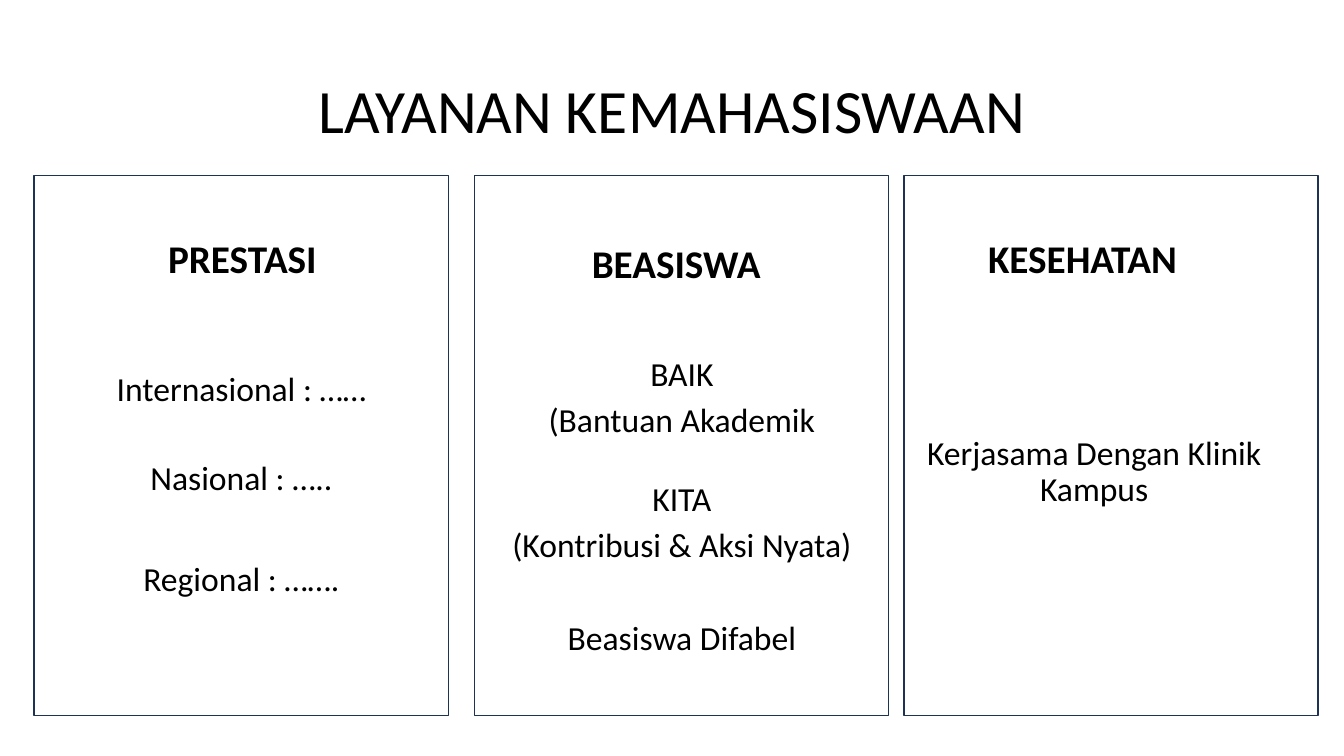
"""Build the student services slide with three framed columns."""
from pptx import Presentation
from pptx.dml.color import RGBColor
from pptx.enum.shapes import MSO_SHAPE
from pptx.enum.text import MSO_ANCHOR, PP_ALIGN
from pptx.util import Cm, Pt

COLORS = {"text": "000000", "frame": "1E3256"}


def add_text(slide, box, lines, size, bold=False, pitch=0.9, anchor=MSO_ANCHOR.TOP):
    frame = slide.shapes.add_textbox(*[Cm(v) for v in box]).text_frame
    frame.word_wrap = True
    frame.vertical_anchor = anchor
    for i, (text, gap) in enumerate(lines):
        para = frame.add_paragraph() if i else frame.paragraphs[0]
        para.text = text
        para.alignment = PP_ALIGN.CENTER
        para.line_spacing = pitch
        para.space_before = Pt(gap)
        para.font.name = "Calibri"
        para.font.size = Pt(size)
        para.font.bold = bold
        para.font.color.rgb = RGBColor.from_string(COLORS["text"])


deck = Presentation()
deck.slide_width = Cm(33.87)
deck.slide_height = Cm(19.05)
slide = deck.slides.add_slide(deck.slide_layouts[6])

add_text(slide, (2.34, 1.02, 29.21, 3.68), [("LAYANAN KEMAHASISWAAN", 0)], 44,
         anchor=MSO_ANCHOR.MIDDLE)

columns = [
    (0.86, "PRESTASI", (0.89, 5.92, 10.44), (1.5, 9.25), 0.9,
     [("Internasional : ……", 10), ("Nasional : …..", 38), ("Regional : …….", 46)]),
    (11.96, "BEASISWA", (11.58, 6.05, 10.92), (12.6, 8.97), 0.8,
     [("BAIK", 10), ("(Bantuan Akademik", 10), ("KITA", 33),
      ("(Kontribusi & Aksi Nyata)", 10), ("Beasiswa Difabel", 43)]),
    (22.78, "KESEHATAN", (21.82, 5.92, 10.92), (22.99, 10.87), 0.9,
     [("Kerjasama Dengan Klinik Kampus", 10)]),
]
for left, head, (x, y, width), spot, pitch, lines in columns:
    panel = slide.shapes.add_shape(MSO_SHAPE.RECTANGLE, Cm(left), Cm(4.42), Cm(10.44), Cm(13.61))
    panel.shadow.inherit = False
    panel.fill.background()
    panel.line.color.rgb = RGBColor.from_string(COLORS["frame"])
    panel.line.width = Pt(1)
    add_text(slide, (x, y, width, 1.68), [(head, 10)], 28, bold=True)
    add_text(slide, (*spot, 9.17, 7.82), lines, 24, pitch=pitch)

deck.save("out.pptx")
